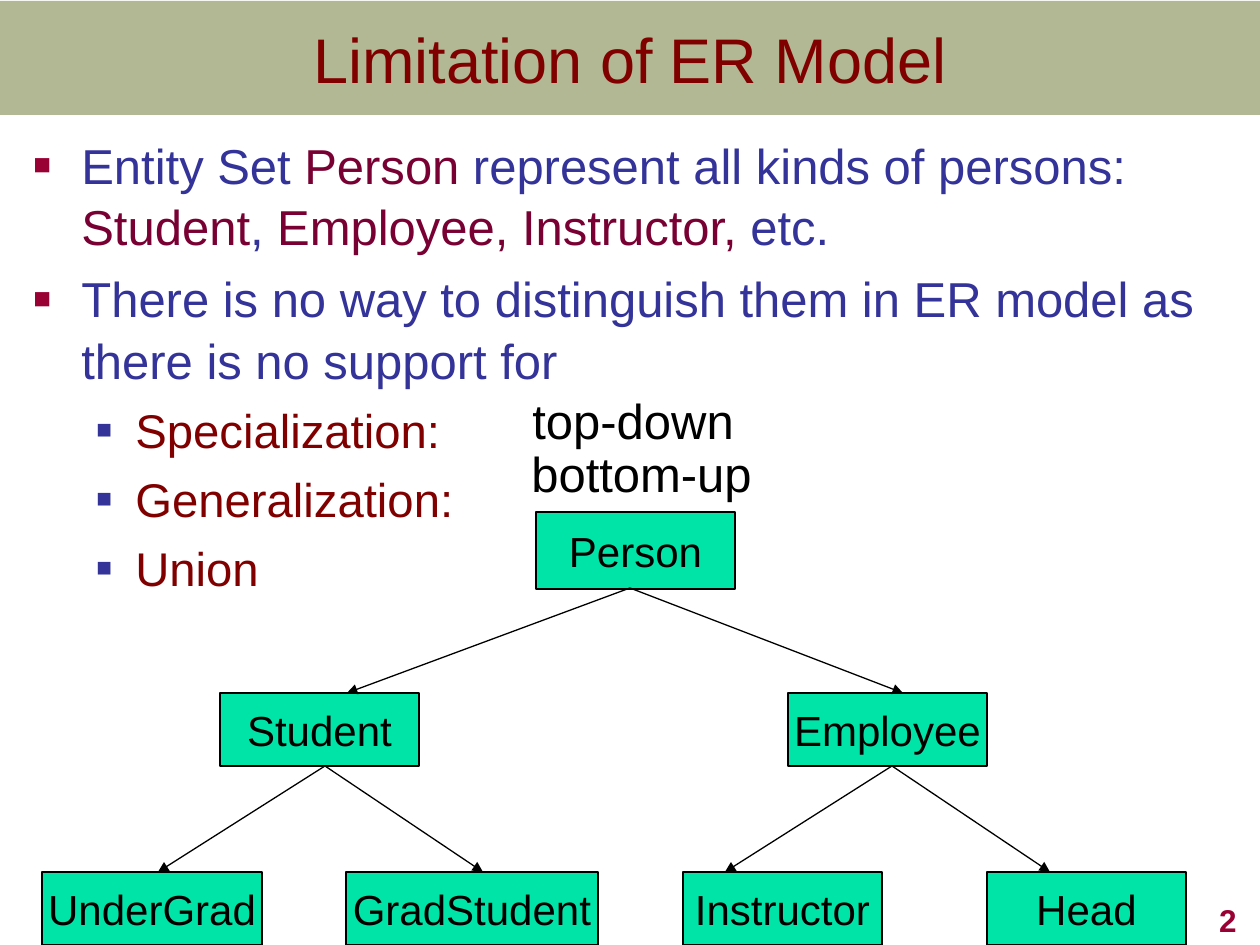
"""Build the slide on the limits of the ER model."""
import pptx
import pptx.dml.color
import pptx.enum.shapes
import pptx.enum.text
import pptx.oxml
import pptx.oxml.ns
import pptx.util
from lxml import etree

SCALE = 914400 // 126
FONT = "Arial"
NAVY, WINE, RED = "333399", "790033", "800000"
BLACK, GREEN, PINK = "000000", "00E4A8", "990033"
ALIGN = pptx.enum.text.PP_ALIGN
ANCHOR = pptx.enum.text.MSO_ANCHOR
RECT = pptx.enum.shapes.MSO_SHAPE.RECTANGLE

TITLE = "Limitation of ER Model"
POINTS = [
    (0, [("Entity Set ", NAVY), ("Person", WINE),
         (" represent all kinds of persons: ", NAVY), ("Student", WINE),
         (", ", NAVY), ("Employee, Instructor,", WINE), (" etc.", NAVY)]),
    (0, [("There is no way to distinguish them in ER model as "
          "there is no support for", NAVY)]),
    (1, [("Specialization:", RED)]),
    (1, [("Generalization:", RED)]),
    (1, [("Union", RED)]),
]
LEVELS = [
    {"size": 28, "left": 48, "hang": 48, "color": PINK, "scale": 60},
    {"size": 27, "left": 102, "hang": 39, "color": NAVY, "scale": 55},
]
NOTES = [("top-down", 457, 384, 294), ("bottom-up", 456, 437, 312)]
ROWS = [
    (512, 77, [("Person", 536, 199)]),
    (693, 73, [("Student", 220, 199), ("Employee", 788, 199)]),
    (872, 73, [("UnderGrad", 42, 220), ("GradStudent", 346, 252),
               ("Instructor", 683, 199), ("Head", 987, 199)]),
]
FANS = [
    (630, 588, 693, [347, 903]),
    (325, 766, 872, [158, 483]),
    (892, 766, 872, [725, 1050]),
]


def px(num):
    return pptx.util.Emu(round(num * SCALE))


def rgb(code):
    return pptx.dml.color.RGBColor.from_string(code)


def style(font, size, color, bold=False):
    font.name, font.size, font.bold = FONT, pptx.util.Pt(size), bold
    font.color.rgb = rgb(color)


def add_tag(base, tag, **attrs):
    return etree.SubElement(base, pptx.oxml.ns.qn(tag), attrs)


def add_box(slide, left, top, width, height, wrap=True):
    box = slide.shapes.add_textbox(*map(px, (left, top, width, height)))
    box.text_frame.word_wrap = wrap
    return box.text_frame


def add_rect(slide, left, top, width, height, color):
    rect = slide.shapes.add_shape(RECT, *map(px, (left, top, width, height)))
    rect.shadow.inherit = False
    rect.fill.solid()
    rect.fill.fore_color.rgb = rgb(color)
    return rect


def add_title(slide):
    title = slide.shapes.title
    title.left, title.top, title.width, title.height = map(px, (0, 1, 1260, 114))
    title.text_frame.text = TITLE
    title.text_frame.vertical_anchor = ANCHOR.MIDDLE
    par = title.text_frame.paragraphs[0]
    par.alignment = ALIGN.CENTER
    style(par.runs[0].font, 36, RED)
    band = add_rect(slide, 0, 1, 1260, 114, "677228")
    band.line.fill.background()
    tint = band.fill._xPr.find(".//" + pptx.oxml.ns.qn("a:srgbClr"))
    add_tag(tint, "a:alpha", val="50000")
    title._element.addprevious(band._element)


def add_points(slide):
    frame = add_box(slide, 21, 126, 1218, 420)
    frame.margin_right = 0
    for idx, (level, parts) in enumerate(POINTS):
        par = frame.add_paragraph() if idx else frame.paragraphs[0]
        look = LEVELS[level]
        par.level = level
        par.line_spacing = 1.05
        par.space_before = pptx.util.Pt(look["size"] / 5 if idx else 0)
        props = par._p.get_or_add_pPr()
        props.set("marL", str(px(look["left"])))
        props.set("indent", str(-px(look["hang"])))
        add_tag(add_tag(props, "a:buClr"), "a:srgbClr", val=look["color"])
        add_tag(props, "a:buSzPct", val=str(look["scale"] * 1000))
        add_tag(props, "a:buFont", typeface=FONT)
        add_tag(props, "a:buChar", char="■")
        for text, color in parts:
            run = par.add_run()
            run.text = text
            style(run.font, look["size"], color)


def add_notes(slide):
    for text, left, top, width in NOTES:
        frame = add_box(slide, left, top, width, 72, wrap=False)
        frame.auto_size = pptx.enum.text.MSO_AUTO_SIZE.SHAPE_TO_FIT_TEXT
        frame.text = text
        par = frame.paragraphs[0]
        par.level = 1
        par._p.get_or_add_pPr().set("marL", str(px(63)))
        style(par.runs[0].font, 28, BLACK)


def add_tree(slide):
    for top, height, nodes in ROWS:
        for text, left, width in nodes:
            node = add_rect(slide, left, top, width, height, GREEN)
            node.line.color.rgb = rgb(BLACK)
            node.line.width = pptx.util.Pt(0.75)
            frame = node.text_frame
            frame.word_wrap = False
            frame.vertical_anchor = ANCHOR.MIDDLE
            frame.text = text
            par = frame.paragraphs[0]
            par.alignment = ALIGN.CENTER
            style(par.runs[0].font, 24, BLACK)
    straight = pptx.enum.shapes.MSO_CONNECTOR.STRAIGHT
    for start, top, bottom, ends in FANS:
        for end in ends:
            arrow = slide.shapes.add_connector(
                straight, *map(px, (start, top, end, bottom)))
            arrow.line.color.rgb = rgb(BLACK)
            arrow.line.width = pptx.util.Pt(0.75)
            add_tag(arrow.line._get_or_add_ln(), "a:tailEnd", type="triangle")
            add_tag(arrow._element.spPr, "a:effectLst")


def add_number(slide):
    frame = add_box(slide, 987, 882, 262, 63)
    frame.vertical_anchor = ANCHOR.BOTTOM
    frame.text = "2"
    par = frame.paragraphs[0]
    par.alignment = ALIGN.RIGHT
    style(par.runs[0].font, 18, PINK, bold=True)


def main():
    deck = pptx.Presentation()
    deck.slide_width, deck.slide_height = px(1260), px(945)
    slide = deck.slides.add_slide(deck.slide_layouts[5])
    add_title(slide)
    add_points(slide)
    add_number(slide)
    add_tree(slide)
    add_notes(slide)
    deck.save("out.pptx")


if __name__ == "__main__":
    main()
